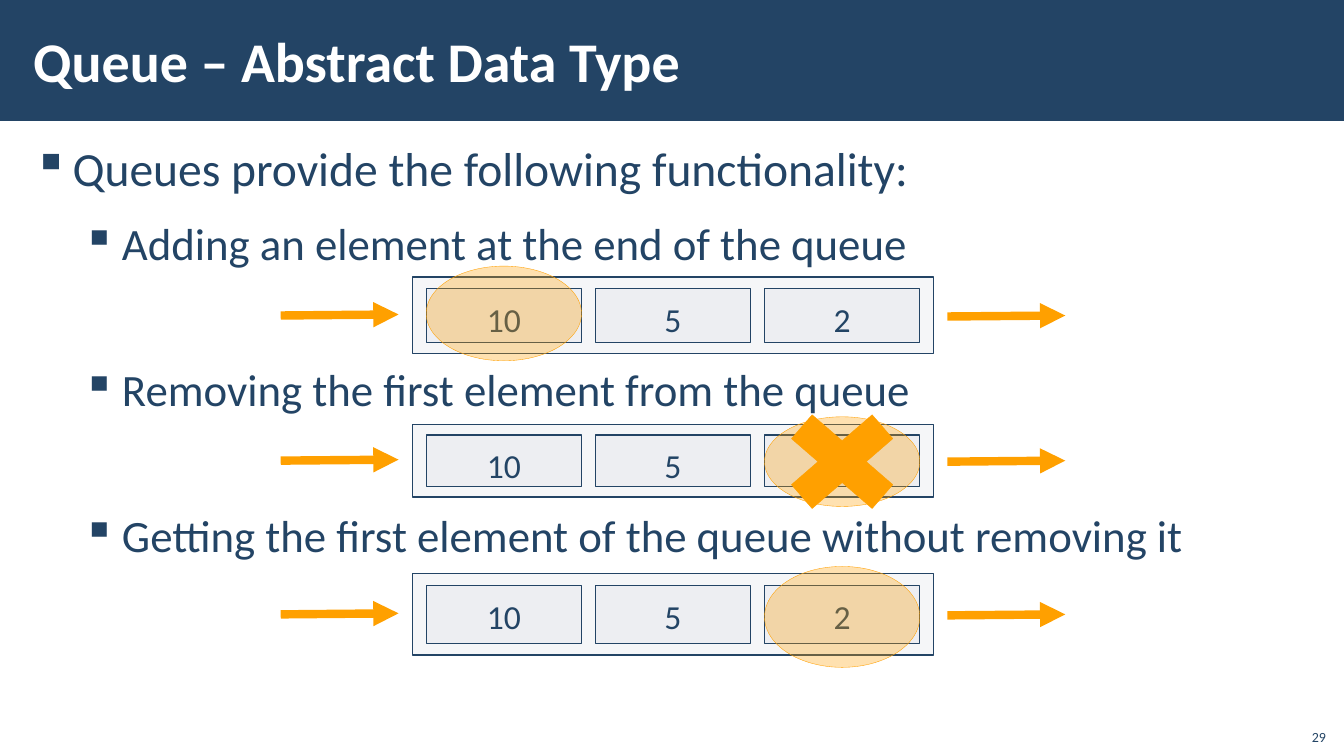
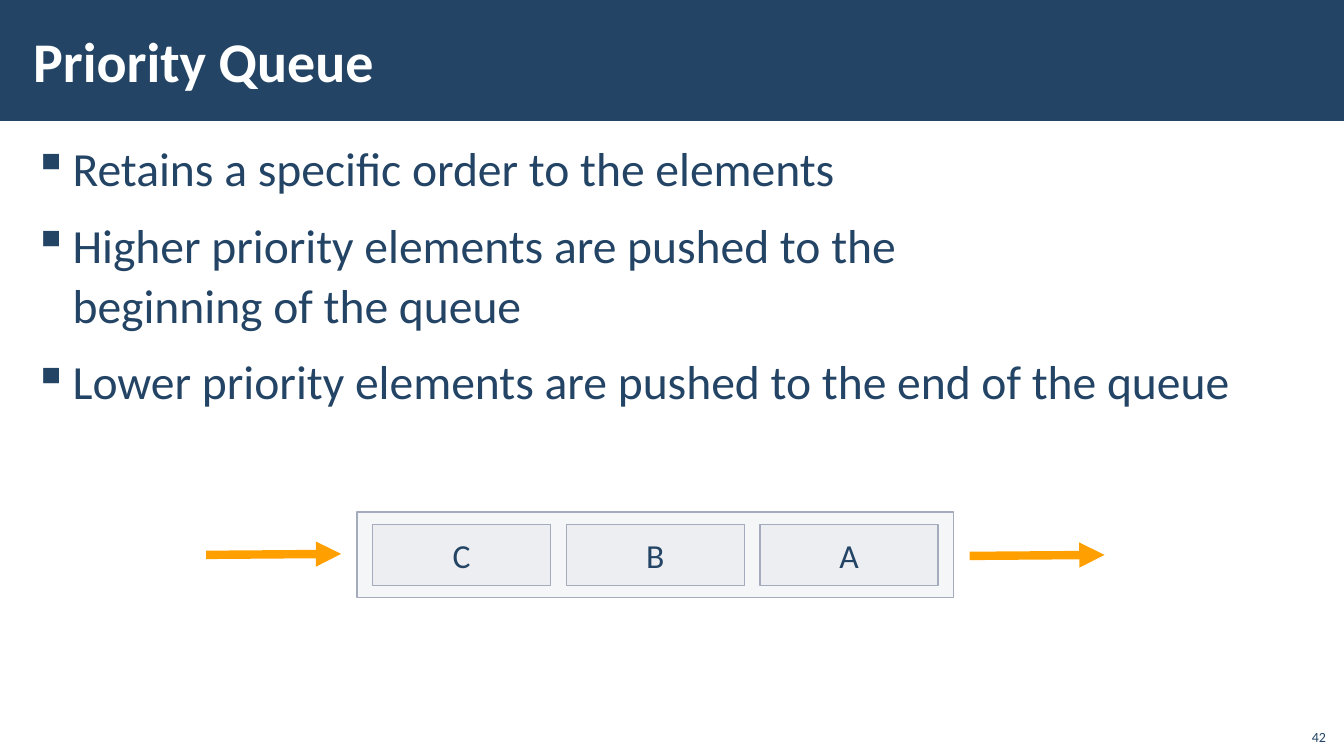
from lxml.etree import SubElement
from pptx import Presentation
from pptx.dml.color import RGBColor
from pptx.enum.shapes import MSO_CONNECTOR, MSO_SHAPE
from pptx.enum.text import MSO_ANCHOR as ANCHOR, PP_ALIGN as ALIGN
from pptx.oxml.ns import qn
from pptx.util import Inches, Pt

WIDTH, HEIGHT = 13.33, 7.5
FONT = "Calibri"
COLOURS = {"navy": "234465", "white": "FFFFFF", "mist": "C2C7D2",
           "steel": "A3ABBC", "amber": "FFA000"}

# Queue frame: left, top, width, height; ring: marked cell and its centre height
SLIDES = [
    {"title": "Queue – Abstract Data Type", "number": "29",
     "points": [(0, "Queues provide the following functionality:", 6),
                (1, "Adding an element at the end of the queue", 6),
                (1, "Removing the first element from the queue", 58),
                (1, "Getting the first element of the queue without removing it", 58)],
     "queues": [
         {"frame": (4.09, 2.75, 5.17, 0.76), "cells": ["10", "5", "2"],
          "edge": "navy", "ring": (0, 3.11)},
         {"frame": (4.09, 4.21, 5.17, 0.72), "cells": ["10", "5", "2"],
          "edge": "navy", "ring": (2, 4.58), "removed": True},
         {"frame": (4.09, 5.69, 5.17, 0.81), "cells": ["10", "5", "2"],
          "edge": "navy", "ring": (2, 6.12)}]},
    {"title": "Priority Queue", "number": "42",
     "points": [(0, "Retains a specific order to the elements", 6),
                (0, "Higher priority elements are pushed to the\vbeginning of the queue", 6),
                (0, "Lower priority elements are pushed to the end of the queue", 6)],
     "queues": [{"frame": (3.54, 5.08, 5.92, 0.85), "cells": ["C", "B", "A"],
                 "edge": "steel"}]},
]

LEVELS = [{"size": 34, "indent": 0.39}, {"size": 32, "indent": 0.88}]
HANGING = 0.39
TEXT_INSETS, CELL_INSETS, PLAIN_INSETS = (0.12, 0.04), (0.2, 0.1), (0.1, 0.05)

# Shares of the queue frame
CELL_SHARE, INSET_SHARE = 0.298, 0.145
ARROW_SHARE, RING_SHARE, CROSS_SHARE = 0.226, 1.236, 1.5
ARROW_RISE = 0.01


def colour(name):
    """Return a named colour as RGB."""
    return RGBColor.from_string(COLOURS[name])


def inches(*lengths):
    """Convert several lengths from inches."""
    return [Inches(length) for length in lengths]


def set_all(target, values):
    """Set every attribute named in a dict."""
    for name, value in values.items():
        setattr(target, name, value)


def format_frame(frame, insets, anchor=ANCHOR.TOP):
    """Set wrapping, anchor and insets of a text frame."""
    across, down = inches(*insets)
    set_all(frame, {"word_wrap": True, "vertical_anchor": anchor,
                    "margin_left": across, "margin_right": across,
                    "margin_top": down, "margin_bottom": down})


def write(paragraph, text, size, ink="navy", bold=False, align=ALIGN.LEFT):
    """Write text into a paragraph and style it."""
    paragraph.text = text
    paragraph.alignment = align
    set_all(paragraph.font, {"name": FONT, "size": Pt(size), "bold": bold})
    paragraph.font.color.rgb = colour(ink)


def add_text(slide, box, insets, anchor):
    """Add a text box and return its text frame."""
    frame = slide.shapes.add_textbox(*inches(*box)).text_frame
    format_frame(frame, insets, anchor)
    return frame


def add_block(shapes, kind, box, fill, alpha=100, edge=None, weight=1):
    """Add a flat shape with an optional outline and transparency."""
    block = shapes.add_shape(kind, *inches(*box))
    block.shadow.inherit = False
    block.fill.solid()
    block.fill.fore_color.rgb = colour(fill)
    if alpha < 100:
        tint = block.fill._xPr.find(qn("a:solidFill"))[0]
        SubElement(tint, qn("a:alpha"), val=str(alpha * 1000))
    if edge:
        block.line.color.rgb = colour(edge)
        block.line.width = Pt(weight)
    else:
        block.line.fill.background()
    return block


def add_arrow(shapes, start, end):
    """Add a thick arrow between two points."""
    arrow = shapes.add_connector(MSO_CONNECTOR.STRAIGHT, *inches(*start, *end))
    arrow.line.color.rgb = colour("amber")
    arrow.line.width = Pt(6)
    SubElement(arrow.line._get_or_add_ln(), qn("a:tailEnd"), type="triangle")
    SubElement(arrow._element.spPr, qn("a:effectLst"))


def add_points(slide, points):
    """Add the bulleted body text."""
    body = add_text(slide, (0.21, 1.31, 12.92, 6.05), TEXT_INSETS, ANCHOR.TOP)
    for index, (level, text, before) in enumerate(points):
        point = body.add_paragraph() if index else body.paragraphs[0]
        write(point, text, LEVELS[level]["size"])
        set_all(point, {"level": level, "line_spacing": 1.05,
                        "space_before": Pt(before), "space_after": Pt(6)})
        properties = point._p.get_or_add_pPr()
        properties.set("marL", str(Inches(LEVELS[level]["indent"])))
        properties.set("indent", str(-Inches(HANGING)))
        SubElement(properties, qn("a:buChar"), char="▪")


def add_queue(slide, queue):
    """Add one queue: frame, cells, arrows and any marks."""
    shapes = slide.shapes.add_group_shape().shapes
    left, top, width, height = queue["frame"]
    cells = queue["cells"]
    cell_width = CELL_SHARE * width
    gap = (width - len(cells) * cell_width) / (len(cells) + 1)
    inset = INSET_SHARE * height
    lefts = [left + gap + i * (cell_width + gap) for i in range(len(cells))]

    add_block(shapes, MSO_SHAPE.RECTANGLE, queue["frame"], "mist", 15, queue["edge"])
    for cell_left, value in zip(lefts, cells):
        cell = add_block(shapes, MSO_SHAPE.RECTANGLE,
                         (cell_left, top + inset, cell_width, height - 2 * inset),
                         "mist", 15, queue["edge"])
        format_frame(cell.text_frame, CELL_INSETS)
        write(cell.text_frame.paragraphs[0], value, 24, align=ALIGN.CENTER)

    middle, length = top + height / 2, ARROW_SHARE * width
    for start, level in ((left - gap - length, middle),
                         (left + width + gap, middle + ARROW_RISE)):
        add_arrow(shapes, (start, level), (start + length, level - ARROW_RISE))

    if "ring" in queue:
        marked, centre = queue["ring"]
        ring = RING_SHARE * height
        marks = [(MSO_SHAPE.OVAL, ring, 31)]
        if queue.get("removed"):
            marks.append((MSO_SHAPE.MATH_MULTIPLY, CROSS_SHARE * ring, 100))
        for kind, tall, alpha in marks:
            add_block(shapes, kind, (lefts[marked], centre - tall / 2, cell_width, tall),
                      "amber", alpha, "amber", 0.25)


def add_slide(deck, content):
    """Build one slide with its band, title, points, queues and number."""
    slide = deck.slides.add_slide(deck.slide_layouts[6])
    add_block(slide.shapes, MSO_SHAPE.RECTANGLE, (0, 0, WIDTH, 0.16 * HEIGHT), "navy")
    add_points(slide, content["points"])
    title = add_text(slide, (0.21, 0.11, 10.63, 0.97), TEXT_INSETS, ANCHOR.MIDDLE)
    write(title.paragraphs[0], content["title"], 40, "white", bold=True)
    for queue in content["queues"]:
        add_queue(slide, queue)
    number = add_text(slide, (12.85, 7.12, 0.4, 0.32), PLAIN_INSETS, ANCHOR.BOTTOM)
    write(number.paragraphs[0], content["number"], 10, align=ALIGN.RIGHT)


deck = Presentation()
set_all(deck, {"slide_width": Inches(WIDTH), "slide_height": Inches(HEIGHT)})
for content in SLIDES:
    add_slide(deck, content)
deck.save("out.pptx")
